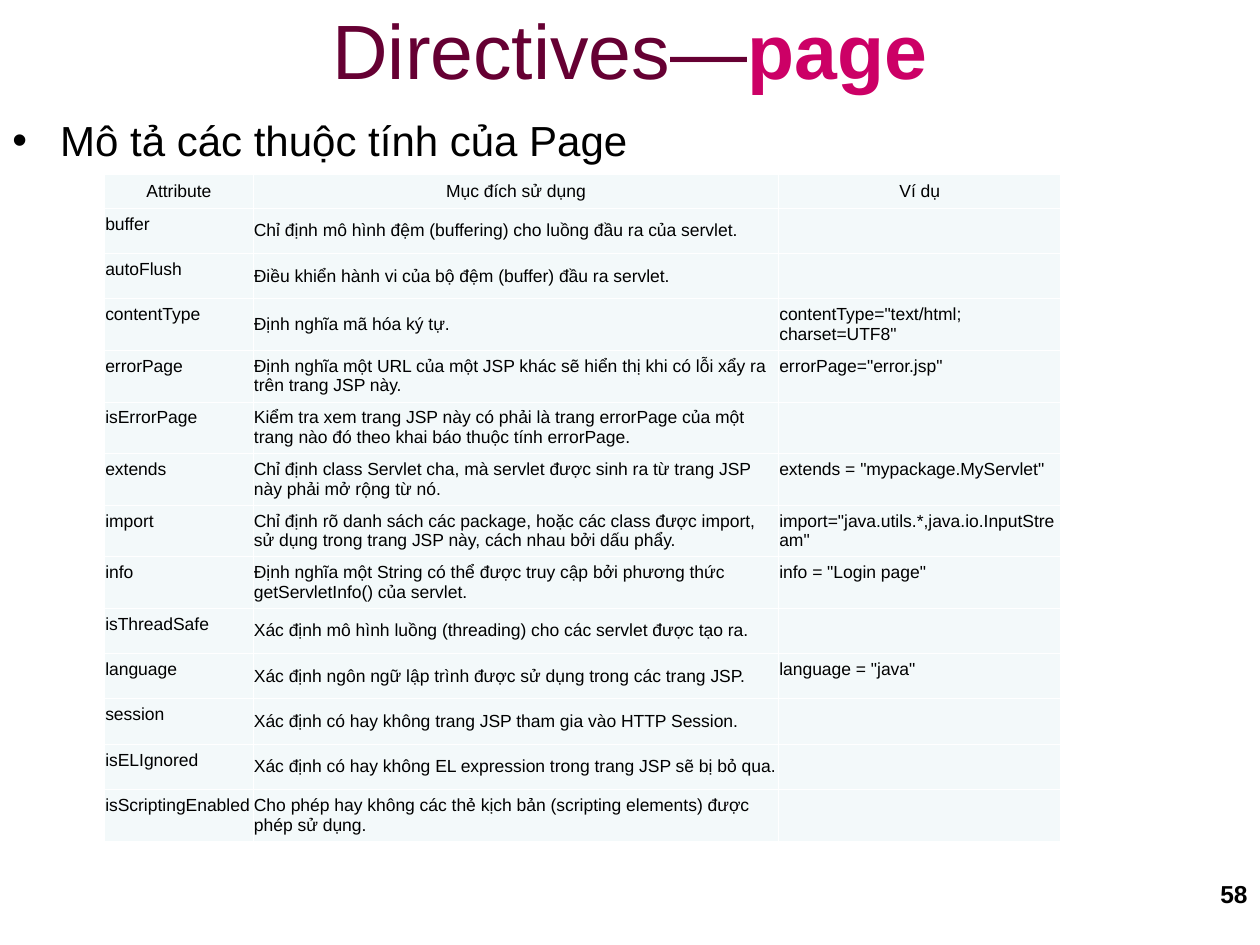
from lxml import etree
from pptx import Presentation
from pptx.dml.color import RGBColor
from pptx.enum.text import MSO_ANCHOR, MSO_AUTO_SIZE, PP_ALIGN
from pptx.oxml.ns import qn
from pptx.util import Inches, Pt

MIDDLE, TOP = MSO_ANCHOR.MIDDLE, MSO_ANCHOR.TOP
CENTER, LEFT, RIGHT = PP_ALIGN.CENTER, PP_ALIGN.LEFT, PP_ALIGN.RIGHT

BLACK, WINE, MAGENTA = "000000", "660033", "CC0066"
CELL_FILL, BORDER = "F3F9FA", "FFFFFF"

COLUMN_WIDTHS = [1.18, 4.17, 2.24]
LINE_CAPACITY = [20, 70, 32]  # characters that fit on one line of each column
HEADER_HEIGHT, ROW_HEIGHT = 0.18, 0.36
ROWS = [
    ("Attribute", "Mục đích sử dụng", "Ví dụ"),
    ("buffer", "Chỉ định mô hình đệm (buffering) cho luồng đầu ra của servlet.", ""),
    ("autoFlush", "Điều khiển hành vi của bộ đệm (buffer) đầu ra servlet.", ""),
    ("contentType", "Định nghĩa mã hóa ký tự.", 'contentType="text/html; charset=UTF8"'),
    ("errorPage",
     "Định nghĩa một URL của một JSP khác sẽ hiển thị khi có lỗi xẩy ra trên trang JSP này.",
     'errorPage="error.jsp"'),
    ("isErrorPage",
     "Kiểm tra xem trang JSP này có phải là trang errorPage của một trang nào đó "
     "theo khai báo thuộc tính errorPage.", ""),
    ("extends",
     "Chỉ định class Servlet cha, mà servlet được sinh ra từ trang JSP này phải mở rộng từ nó.",
     'extends = "mypackage.MyServlet"'),
    ("import",
     "Chỉ định rõ danh sách các package, hoặc các class được import, "
     "sử dụng trong trang JSP này, cách nhau bởi dấu phẩy.",
     'import="java.utils.*,java.io.InputStream"'),
    ("info",
     "Định nghĩa một String có thể được truy cập bởi phương thức getServletInfo() của servlet.",
     'info = "Login page"'),
    ("isThreadSafe", "Xác định mô hình luồng (threading) cho các servlet được tạo ra.", ""),
    ("language", "Xác định ngôn ngữ lập trình được sử dụng trong các trang JSP.",
     'language = "java"'),
    ("session", "Xác định có hay không trang JSP tham gia vào HTTP Session.", ""),
    ("isELIgnored", "Xác định có hay không EL expression trong trang JSP sẽ bị bỏ qua.", ""),
    ("isScriptingEnabled",
     "Cho phép hay không các thẻ kịch bản (scripting elements) được phép sử dụng.", ""),
]


def rgb(color):
    return RGBColor.from_string(color)


def add_run(paragraph, text, size, color=BLACK, bold=False):
    run = paragraph.add_run()
    run.text = text
    run.font.name = "Arial"
    run.font.size = Pt(size)
    run.font.bold = bold
    run.font.color.rgb = rgb(color)


prs = Presentation()
prs.slide_width, prs.slide_height = Inches(10), Inches(7.5)
slide = prs.slides.add_slide(prs.slide_layouts[5])

# Title
title = slide.shapes.title
title.left, title.top = 0, Inches(0.07)
title.width, title.height = prs.slide_width, Inches(0.64)
title.text_frame.auto_size = MSO_AUTO_SIZE.NONE
title.text_frame.vertical_anchor = MIDDLE
heading = title.text_frame.paragraphs[0]
heading.alignment = CENTER
add_run(heading, "Directives—", 44, WINE)
add_run(heading, "page", 44, MAGENTA, bold=True)

# Bulleted introduction
intro = slide.shapes.add_textbox(0, Inches(0.86), prs.slide_width, Inches(0.5))
intro.text_frame.word_wrap = True
bullet_line = intro.text_frame.paragraphs[0]
properties = bullet_line._p.get_or_add_pPr()
properties.set("marL", str(Inches(0.38)))
properties.set("indent", str(-Inches(0.38)))
etree.SubElement(properties, qn("a:buFont"), typeface="Arial")
etree.SubElement(properties, qn("a:buChar"), char="•")
add_run(bullet_line, "Mô tả các thuộc tính của Page", 24)

# Attribute table
table_height = HEADER_HEIGHT + ROW_HEIGHT * (len(ROWS) - 1)
attributes = slide.shapes.add_table(
    len(ROWS), len(COLUMN_WIDTHS), Inches(0.83), Pt(99.7),
    Inches(sum(COLUMN_WIDTHS)), Inches(table_height)).table
attributes.first_row = False
attributes.horz_banding = False
for column, width in zip(attributes.columns, COLUMN_WIDTHS):
    column.width = Inches(width)

for r, texts in enumerate(ROWS):
    is_header = r == 0
    attributes.rows[r].height = Inches(HEADER_HEIGHT if is_header else ROW_HEIGHT)
    for c, text in enumerate(texts):
        cell = attributes.cell(r, c)
        is_centered = is_header or c == 1
        cell.vertical_anchor = MIDDLE if is_centered else TOP
        cell.margin_left = cell.margin_right = Pt(0.4)
        cell.margin_top = cell.margin_bottom = Pt(3.6)
        if len(text) > LINE_CAPACITY[c]:
            cell.margin_top = Pt(2.7 if is_centered else 3.6)
            cell.margin_bottom = Pt(2.7 if is_centered else 1.8)
        for side in ("a:lnL", "a:lnR", "a:lnT", "a:lnB"):
            line = etree.SubElement(cell._tc.get_or_add_tcPr(), qn(side), w=str(Pt(0.45)))
            line_fill = etree.SubElement(line, qn("a:solidFill"))
            etree.SubElement(line_fill, qn("a:srgbClr"), val=BORDER)
        cell.fill.solid()
        cell.fill.fore_color.rgb = rgb(CELL_FILL)
        entry = cell.text_frame.paragraphs[0]
        entry.alignment = CENTER if is_header else LEFT
        if text:
            add_run(entry, text, 10)
        else:
            entry.font.size = Pt(10)

# Page number
page_number = slide.shapes.add_textbox(Inches(7.17), Inches(6.93), Inches(2.83), Inches(0.52))
page_number.text_frame.word_wrap = True
number_line = page_number.text_frame.paragraphs[0]
number_line.alignment = RIGHT
add_run(number_line, "58", 14, bold=True)

prs.save("out.pptx")
